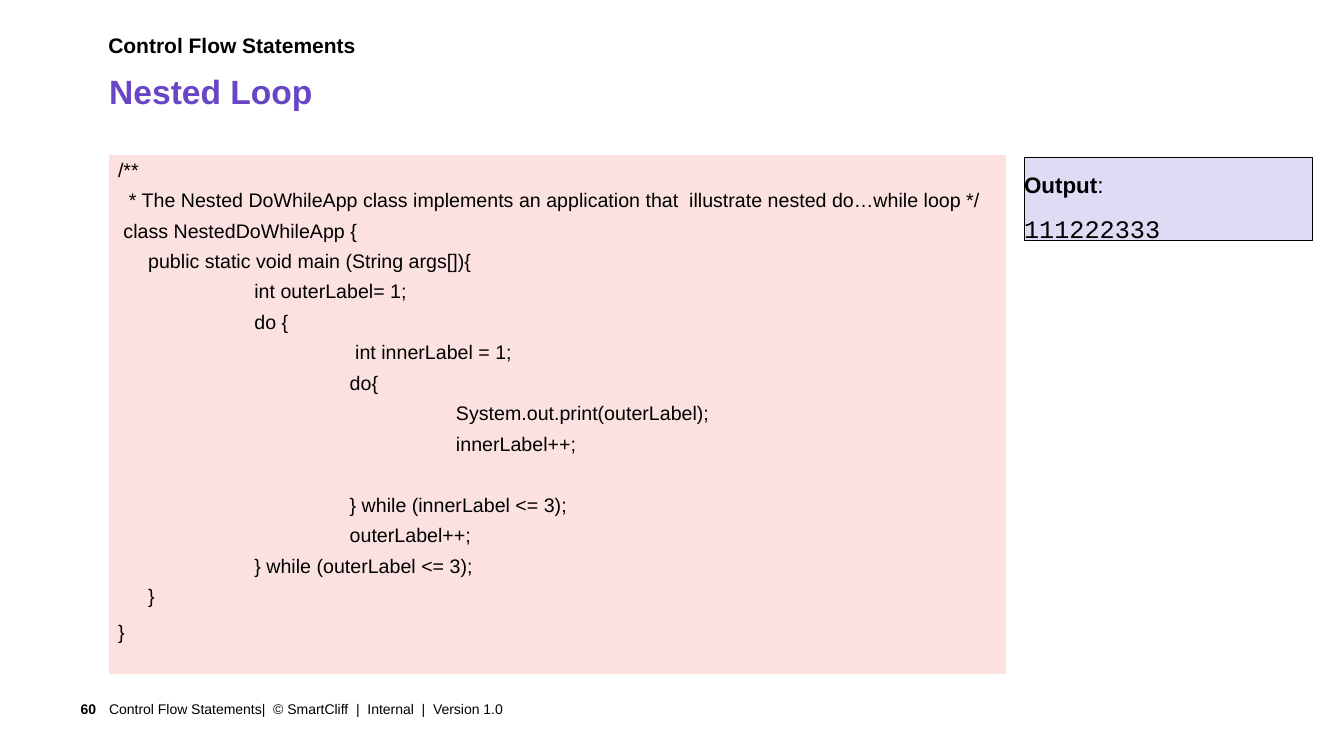
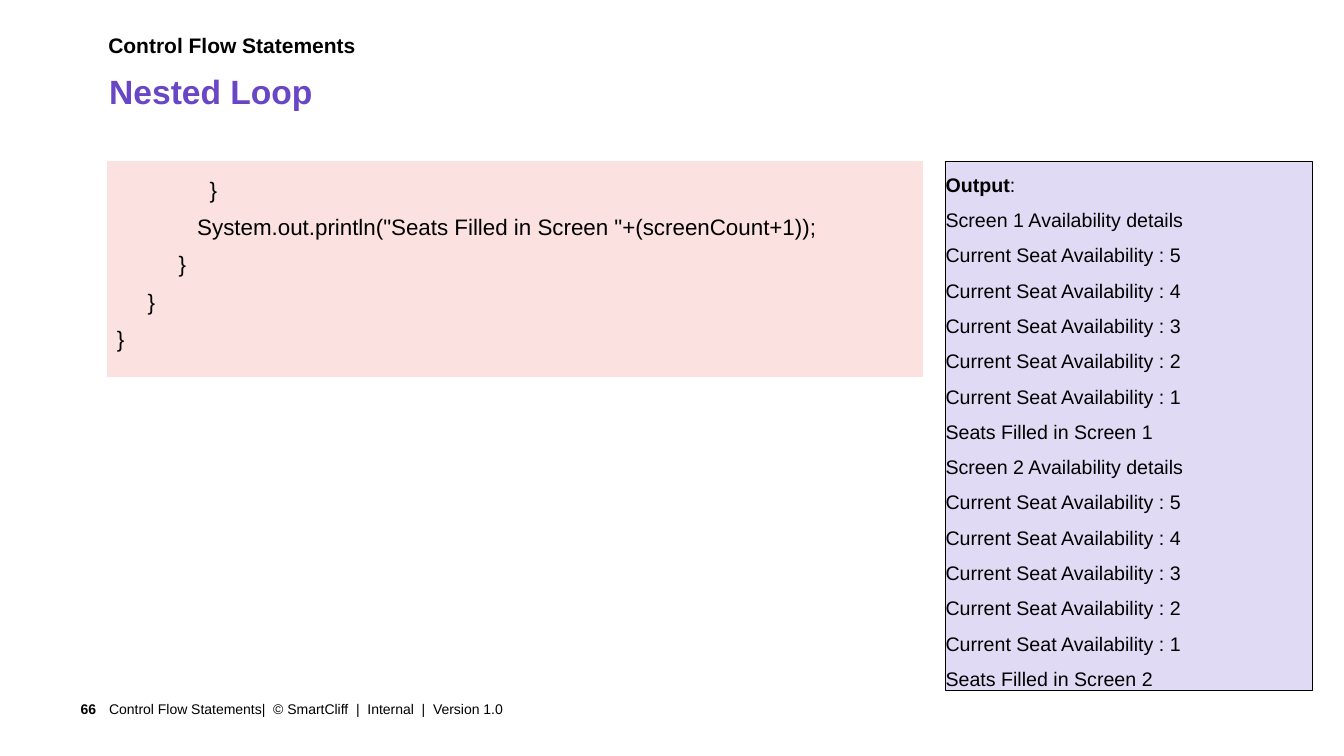
import pptx
import pptx.util
import pptx.dml.color
import pptx.enum.shapes
import pptx.enum.text
import lxml.etree
from dataclasses import dataclass

Cm, Pt = pptx.util.Cm, pptx.util.Pt
RGB = pptx.dml.color.RGBColor.from_string
Align = pptx.enum.text.PP_ALIGN
Anchor = pptx.enum.text.MSO_ANCHOR


@dataclass(frozen=True)
class Theme:
    ink: str = "000000"
    title: str = "6846C6"
    code: str = "FBE2E0"
    out: str = "E1DAF4"
    edge: str = "FFFFFF"
    sans: str = "Arial"
    mono: str = "Courier New"
    head: int = 24
    topic: int = 15
    foot: int = 10
    large: int = 18
    mid: int = 16
    small: int = 14


T = Theme()

# Content
TOPIC = "Control Flow Statements"
TITLE = "Nested Loop"
FOOT = "Control Flow Statements|  © SmartCliff  |  Internal  |  Version 1.0"

LOOP = [
    "/**",
    "  * The Nested DoWhileApp class implements an application that  illustrate nested do…while loop */",
    " class NestedDoWhileApp {",
    "\tpublic static void main (String args[]){",
    "\t\t int outerLabel= 1;",
    "\t\t do {",
    "\t\t\t int innerLabel = 1;",
    "\t\t\tdo{",
    "\t\t\t\t System.out.print(outerLabel);",
    "\t\t\t\t innerLabel++;",
    "\t\t\t} while (innerLabel <= 3);",
    "\t\t\touterLabel++;",
    "\t\t } while (outerLabel <= 3);",
    "\t}",
    "}",
]
SEATS = [
    "               }",
    "             System.out.println(\"Seats Filled in Screen \"+(screenCount+1));",
    "          }",
    "     }",
    "}",
]
SCREENS = []
for screen in (1, 2):
    SCREENS += [f"Screen {screen} Availability details"]
    SCREENS += [f"Current Seat Availability : {seat}" for seat in range(5, 0, -1)]
    SCREENS += [f"Seats Filled in Screen {screen}"]

# Places are left, top, width, height in cm; gaps are points before a line
SLIDES = [
    dict(
        page="60",
        code=dict(lines=LOOP, at=(2.72, 3.89, 22.64, 13.14), size=T.small,
                  gap=6, gaps={10: 27.8, 14: 10}, hang=0.76, lead=1.0),
        out=dict(lines=["111222333"], at=(25.81, 3.98, 7.26, 2.08),
                 head=T.mid, size=T.large, font=T.mono),
    ),
    dict(
        page="66",
        code=dict(lines=SEATS, at=(2.69, 4.05, 20.59, 5.5), size=T.mid,
                  gap=0, gaps={}, hang=0, lead=1.5),
        out=dict(lines=SCREENS, at=(23.83, 4.06, 9.25, 13.35),
                 head=T.small, size=T.small, font=T.sans),
    ),
]


# Shared helpers
def place(at):
    return [Cm(side) for side in at]


def style(para, size, color=T.ink, bold=False, name=T.sans):
    font = para.font
    font.name, font.size, font.bold = name, Pt(size), bold
    font.color.rgb = RGB(color)


def inset(frame, left=0, top=0, right=0, bottom=0):
    frame.margin_left, frame.margin_top = Cm(left), Cm(top)
    frame.margin_right, frame.margin_bottom = Cm(right), Cm(bottom)
    frame.word_wrap = True


def label(slide, text, at, size, bold=False, align=Align.LEFT,
          anchor=Anchor.TOP, pad=(0, 0, 0, 0)):
    frame = slide.shapes.add_textbox(*place(at)).text_frame
    inset(frame, *pad)
    frame.vertical_anchor = anchor
    para = frame.paragraphs[0]
    para.text, para.alignment = text, align
    style(para, size, bold=bold)


def border(cell):
    props = cell._tc.get_or_add_tcPr()
    ns = "{http://schemas.openxmlformats.org/drawingml/2006/main}"
    for side, width in (("L", 1), ("R", 1), ("T", 1), ("B", 3)):
        line = lxml.etree.SubElement(props, f"{ns}ln{side}", w=str(Pt(width)))
        fill = lxml.etree.SubElement(line, ns + "solidFill")
        lxml.etree.SubElement(fill, ns + "srgbClr", val=T.edge)


# Slide parts
def frame_up(slide, page):
    title = slide.shapes.title
    title.left, title.top, title.width, title.height = place((2.75, 1.78, 30.33, 1.07))
    frame = title.text_frame
    frame.text = TITLE
    inset(frame)
    frame.vertical_anchor = Anchor.TOP
    frame.auto_size = pptx.enum.text.MSO_AUTO_SIZE.NONE
    frame.paragraphs[0].alignment = Align.LEFT
    style(frame.paragraphs[0], T.head, T.title, True)
    label(slide, TOPIC, (2.73, 0.81, 30.33, 1.04), T.topic, True)
    label(slide, page, (1.07, 17.48, 1.65, 0.79), T.foot, True, Align.RIGHT,
          Anchor.MIDDLE, (0.25, 0.13, 0.3, 0.13))
    label(slide, FOOT, (2.75, 17.48, 23.77, 0.79), T.foot,
          anchor=Anchor.MIDDLE, pad=(0, 0.13, 0.25, 0.13))


def add_code(slide, lines, at, size, gap, gaps, hang, lead):
    table = slide.shapes.add_table(1, 1, *place(at)).table
    table.first_row = table.horz_banding = False
    cell = table.cell(0, 0)
    border(cell)
    cell.fill.solid()
    cell.fill.fore_color.rgb = RGB(T.code)
    frame = cell.text_frame
    frame.text = "\n".join(lines)
    for row, para in enumerate(frame.paragraphs):
        props = para._p.get_or_add_pPr()
        props.set("marL", str(Cm(hang)))
        props.set("indent", str(-Cm(hang)))
        props.set("defTabSz", str(Cm(2.54)))
        para.line_spacing = lead
        if row:
            para.space_before = Pt(gaps.get(row, gap))
        style(para, size)


def add_out(slide, lines, at, head, size, font):
    kind = pptx.enum.shapes.MSO_SHAPE.RECTANGLE
    box = slide.shapes.add_shape(kind, *place(at))
    box.shadow.inherit = False
    box.fill.solid()
    box.fill.fore_color.rgb = RGB(T.out)
    box.line.color.rgb = RGB(T.ink)
    box.line.width = Pt(0.75)
    frame = box.text_frame
    inset(frame)
    frame.vertical_anchor = Anchor.TOP
    frame.text = "\n".join(["Output"] + lines)
    for row, para in enumerate(frame.paragraphs):
        para.alignment, para.line_spacing = Align.LEFT, 1.5
        if row:
            style(para, size, name=font)
        else:
            style(para, head)
            para.runs[0].font.bold = True
            para.add_run().text = ":"


def main():
    deck = pptx.Presentation()
    deck.slide_width, deck.slide_height = Cm(33.87), Cm(19.05)
    for data in SLIDES:
        slide = deck.slides.add_slide(deck.slide_layouts[5])
        frame_up(slide, data["page"])
        add_code(slide, **data["code"])
        add_out(slide, **data["out"])
    deck.save("out.pptx")


if __name__ == "__main__":
    main()
